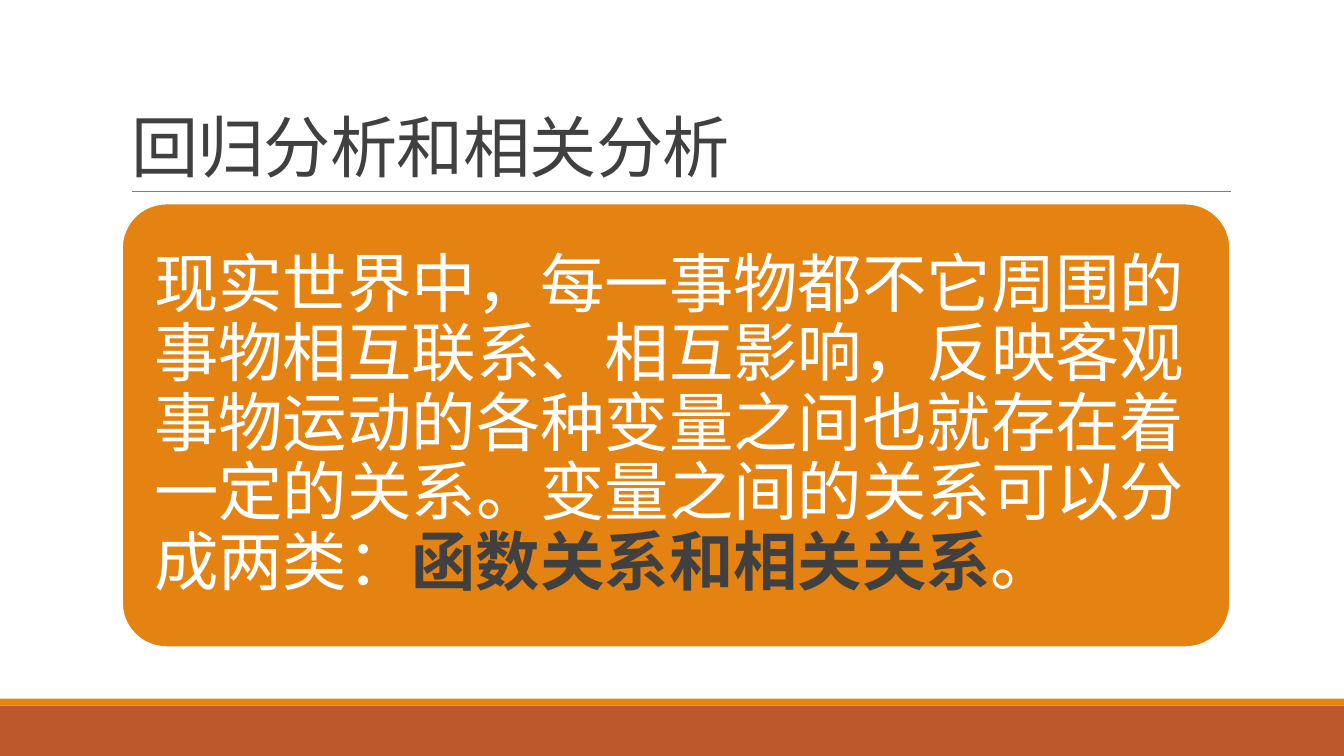
from dataclasses import dataclass

from lxml import etree
from pptx import Presentation
from pptx.dml.color import RGBColor
from pptx.enum.shapes import MSO_CONNECTOR, MSO_SHAPE
from pptx.enum.text import MSO_ANCHOR, MSO_AUTO_SIZE, PP_ALIGN
from pptx.oxml.ns import qn
from pptx.util import Inches, Pt

RECTANGLE = MSO_SHAPE.RECTANGLE
ROUNDED = MSO_SHAPE.ROUNDED_RECTANGLE
STRAIGHT = MSO_CONNECTOR.STRAIGHT
LEFT = PP_ALIGN.LEFT
BOTTOM, MIDDLE = MSO_ANCHOR.BOTTOM, MSO_ANCHOR.MIDDLE
NO_AUTOFIT = MSO_AUTO_SIZE.NONE


@dataclass(frozen=True)
class Theme:
    font: str = "Calibri"
    orange: str = "E48312"
    rust: str = "BD582C"
    dark: str = "404040"
    gray: str = "808080"
    white: str = "FFFFFF"
    title_size: float = 48
    body_size: float = 46
    rule_width: float = 0.5
    outline_width: float = 1.25


class SlideBuilder:
    def __init__(self, presentation, theme):
        self.theme = theme
        self.width = presentation.slide_width
        self.height = presentation.slide_height
        self.slide = presentation.slides.add_slide(presentation.slide_layouts[5])

    def x(self, percent):
        return round(self.width * percent / 100)

    def y(self, percent):
        return round(self.height * percent / 100)

    def box(self, left, top, width, height):
        return self.x(left), self.y(top), self.x(width), self.y(height)

    def format_run(self, run, size, color, bold=False):
        run.font.name = self.theme.font
        run.font.size = Pt(size)
        run.font.bold = bold
        run.font.color.rgb = RGBColor.from_string(color)

    def title(self, text, area):
        title = self.slide.shapes.title
        title.left, title.top, title.width, title.height = self.box(*area)
        frame = title.text_frame
        frame.text = text
        frame.auto_size = NO_AUTOFIT
        frame.word_wrap = True
        frame.vertical_anchor = BOTTOM
        paragraph = frame.paragraphs[0]
        paragraph.alignment = LEFT
        paragraph.line_spacing = 0.85
        run = paragraph.runs[0]
        self.format_run(run, self.theme.title_size, self.theme.dark)
        run.font._element.set("spc", "-50")

    def block(self, kind, area, fill, outline=None):
        shape = self.slide.shapes.add_shape(kind, *self.box(*area))
        shape.shadow.inherit = False
        shape.fill.solid()
        shape.fill.fore_color.rgb = RGBColor.from_string(fill)
        if outline:
            shape.line.color.rgb = RGBColor.from_string(outline)
            shape.line.width = Pt(self.theme.outline_width)
        else:
            shape.line.fill.background()
        return shape

    def rule(self, left, right, top):
        line = self.slide.shapes.add_connector(
            STRAIGHT, self.x(left), self.y(top), self.x(right), self.y(top))
        line.line.color.rgb = RGBColor.from_string(self.theme.gray)
        line.line.width = Pt(self.theme.rule_width)
        etree.SubElement(line._element.spPr, qn("a:effectLst"))

    def card(self, pieces, area):
        card = self.block(ROUNDED, area, self.theme.orange, self.theme.white)
        card.adjustments[0] = 0.1
        frame = card.text_frame
        frame.word_wrap = True
        frame.vertical_anchor = MIDDLE
        frame.margin_left = frame.margin_right = Inches(0.19)
        frame.margin_top = frame.margin_bottom = Inches(0.19)
        paragraph = frame.paragraphs[0]
        paragraph.alignment = LEFT
        paragraph.line_spacing = 0.9
        for text, emphasized in pieces:
            run = paragraph.add_run()
            run.text = text
            color = self.theme.dark if emphasized else self.theme.white
            self.format_run(run, self.theme.body_size, color, emphasized)


def main():
    presentation = Presentation()
    presentation.slide_width = Inches(13.33)
    presentation.slide_height = Inches(7.5)
    theme = Theme()
    builder = SlideBuilder(presentation, theme)
    builder.block(RECTANGLE, (0, 93.33, 100, 6.67), theme.rust)
    builder.block(RECTANGLE, (0, 92.4, 100, 0.93), theme.orange)
    builder.rule(9.83, 91.6, 25.33)
    builder.title("回归分析和相关分析", (9, 4.13, 82.52, 21.2))
    builder.card([
        ("现实世界中，每一事物都不它周围的事物相互联系、相互影响，"
         "反映客观事物运动的各种变量之间也就存在着一定的关系。"
         "变量之间的关系可以分成两类：", False),
        ("函数关系和相关关系", True),
        ("。", False),
    ], (9.08, 26.93, 82.45, 58.67))
    presentation.save("out.pptx")


if __name__ == "__main__":
    main()
